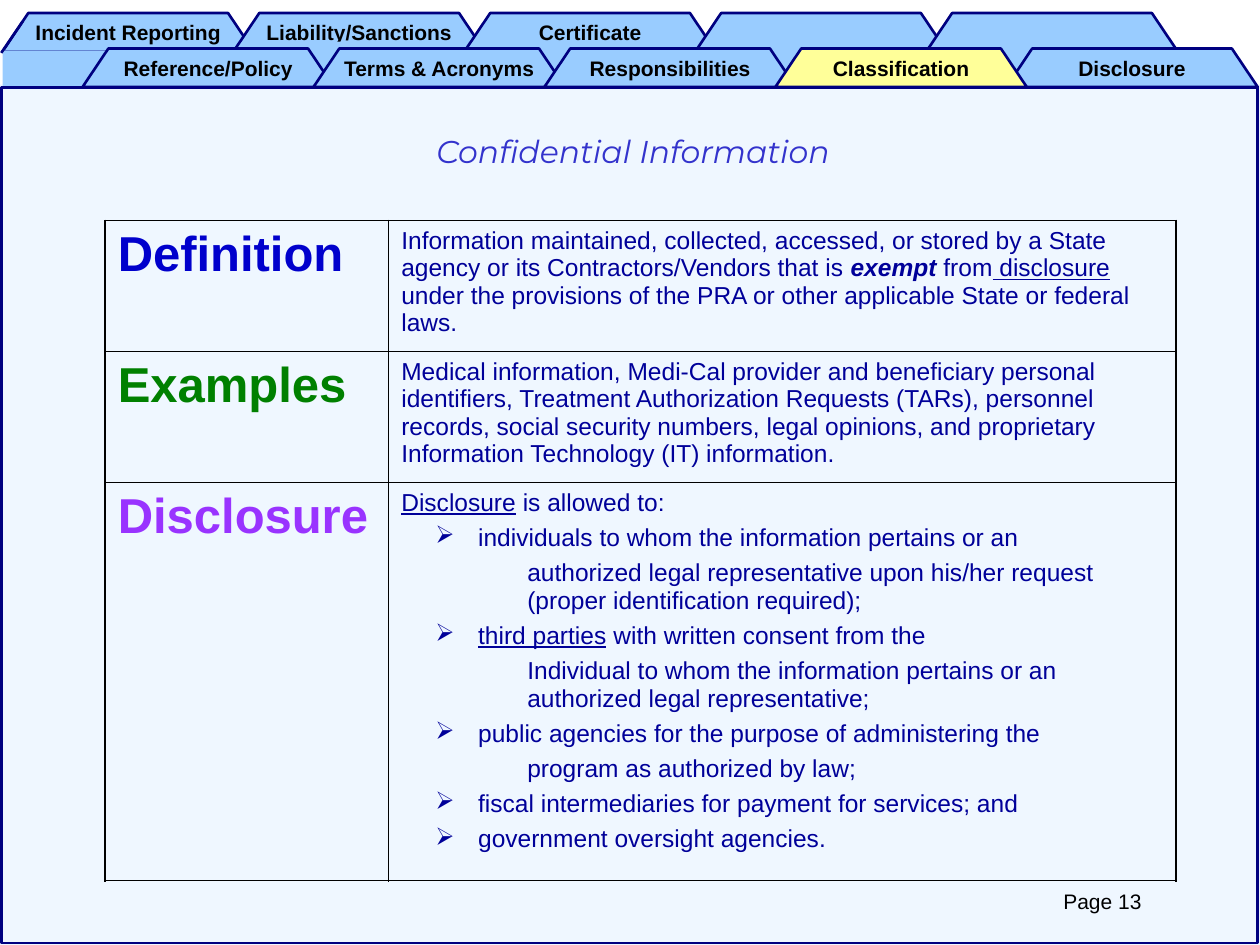
import pptx
import pptx.dml.color
import pptx.enum.shapes
import pptx.enum.text
import pptx.oxml.ns
import pptx.util
from lxml import etree

RGBColor = pptx.dml.color.RGBColor
MSO_SHAPE = pptx.enum.shapes.MSO_SHAPE
PP_ALIGN = pptx.enum.text.PP_ALIGN
MSO_ANCHOR = pptx.enum.text.MSO_ANCHOR
Pt = pptx.util.Pt
qn = pptx.oxml.ns.qn

BLACK = RGBColor(0x00, 0x00, 0x00)
NAVY = RGBColor(0x00, 0x00, 0x80)
SKY = RGBColor(0x99, 0xCC, 0xFF)
YELLOW = RGBColor(0xFF, 0xFF, 0x99)
INDIGO = RGBColor(0x33, 0x33, 0xCC)
BLUE = RGBColor(0x00, 0x00, 0xCC)
GREEN = RGBColor(0x00, 0x80, 0x00)
PURPLE = RGBColor(0x99, 0x33, 0xFF)
BODY = RGBColor(0x00, 0x00, 0x99)

# Grid of the slide: 100 columns by 75 rows, each cell a tenth of an inch.
COLUMNS, ROWS = 100, 75
TAB_PITCH = 18.33
TAB_WIDTH, TAB_HEIGHT, TAB_SLANT = 19.95, 3.05, 2.05

UPPER_TABS = ["Incident Reporting", "Liability/Sanctions", "Certificate", "", ""]
UPPER_FILLERS = [(0.2, 4, 16.5, 3), (21.7, 3.3, 8.3, 2.5), (40, 3.8, 8.3, 2.5),
                 (59, 3.6, 7.5, 2.5), (77.5, 3.8, 7.5, 2.5)]
# Lower tabs from back to front: place in the row, label, fill.
BACK_TABS = [(0, "Reference/Policy", SKY), (1, "Terms & Acronyms", SKY),
             (4, "Disclosure", SKY)]
FRONT_TABS = [(2, "Responsibilities", SKY), (3, "Classification", YELLOW)]

# A paragraph is (level, runs); a run is (text, marks), marks among b, i, u.
DEFINITION = [("plain", [
    ("Information maintained, collected, accessed, or stored by a State agency "
     "or its Contractors/Vendors that is ", ""),
    ("exempt", "bi"), (" from", ""), (" disclosure", "u"),
    (" under the provisions of the PRA or other applicable State or federal laws.", "")])]
EXAMPLES = [("plain", [
    ("Medical information, Medi-Cal provider and beneficiary personal identifiers, "
     "Treatment Authorization Requests (TARs), personnel records, social security "
     "numbers, legal opinions, and proprietary Information Technology (IT) "
     "information.", "")])]
DISCLOSURE = [
    ("plain", [("Disclosure", "u"), (" is allowed to:", "")]),
    ("bullet", [("individuals to whom the information pertains or an", "")]),
    ("detail", [("authorized legal representative upon his/her request "
                 "(proper identification required);", "")]),
    ("bullet", [("third parties", "u"), (" with written consent from the", "")]),
    ("detail", [("Individual to whom the information pertains or an authorized "
                 "legal representative;", "")]),
    ("bullet", [("public agencies for the purpose of administering the", "")]),
    ("detail", [("program as authorized by law;", "")]),
    ("bullet", [("fiscal intermediaries for payment for services; and", "")]),
    ("bullet", [("government oversight agencies.", "")]),
]
TOPICS = [("Definition", BLUE, DEFINITION, 10.4), ("Examples", GREEN, EXAMPLES, 10.4),
          ("Disclosure", PURPLE, DISCLOSURE, 31.6)]
# Left margin and first-line indent of each level, in columns.
INDENTS = {"plain": (0, 0), "bullet": (6.1, -3.4), "detail": (10, 0)}


class TabbedPage:
    font = "Arial"
    outline = Pt(1.5)
    outer_border, inner_border = Pt(1.08), Pt(0.45)

    def __init__(self, deck):
        self.cell_width = deck.slide_width / COLUMNS
        self.cell_height = deck.slide_height / ROWS
        self.slide = deck.slides.add_slide(deck.slide_layouts[5])
        self.shapes = self.slide.shapes

    def x(self, columns):
        return round(columns * self.cell_width)

    def y(self, rows):
        return round(rows * self.cell_height)

    def area(self, left, top, width, height):
        return self.x(left), self.y(top), self.x(width), self.y(height)

    def run(self, paragraph, text, size, color, marks="", font=None):
        run = paragraph.add_run()
        run.text = text
        run.font.name = font or self.font
        run.font.size = Pt(size)
        run.font.color.rgb = color
        run.font.bold = "b" in marks
        run.font.italic = "i" in marks
        run.font.underline = "u" in marks

    def paint(self, shape, fill, line):
        shape.shadow.inherit = False
        if fill is None:
            shape.fill.background()
        else:
            shape.fill.solid()
            shape.fill.fore_color.rgb = fill
        if line is None:
            shape.line.fill.background()
        else:
            shape.line.color.rgb = line
            shape.line.width = self.outline

    def rectangle(self, area, fill=None, line=None, opacity=None):
        box = self.shapes.add_shape(MSO_SHAPE.RECTANGLE, *self.area(*area))
        self.paint(box, fill, line)
        if opacity is not None:
            color = box.fill._xPr.find(qn("a:solidFill"))[0]
            etree.SubElement(color, qn("a:alpha"), val=str(opacity * 1000))

    def line(self, start, end):
        edge = self.shapes.add_connector(
            pptx.enum.shapes.MSO_CONNECTOR.STRAIGHT,
            self.x(start[0]), self.y(start[1]), self.x(end[0]), self.y(end[1]))
        edge.line.color.rgb = NAVY
        edge.line.width = self.outline
        etree.SubElement(edge.element.spPr, qn("a:effectLst"))

    def tab(self, left, top, label, fill):
        right, bottom = left + TAB_WIDTH, top + TAB_HEIGHT
        corners = [(left + TAB_SLANT, top), (right - TAB_SLANT, top), (right, bottom)]
        builder = self.shapes.build_freeform(self.x(left), self.y(bottom))
        builder.add_line_segments([(self.x(c), self.y(r)) for c, r in corners])
        tab = builder.convert_to_shape()
        self.paint(tab, fill, NAVY)
        if label:
            frame = tab.text_frame
            frame.word_wrap = False
            frame.vertical_anchor = MSO_ANCHOR.MIDDLE
            frame.paragraphs[0].alignment = PP_ALIGN.CENTER
            self.run(frame.paragraphs[0], label, 12, BLACK, "b")

    def title(self, text, area):
        title = self.shapes.title
        title.left, title.top, title.width, title.height = self.area(*area)
        title.element.getparent().append(title.element)  # in front of the panel
        frame = title.text_frame
        frame.auto_size = pptx.enum.text.MSO_AUTO_SIZE.NONE
        frame.vertical_anchor = MSO_ANCHOR.TOP
        frame.paragraphs[0].alignment = PP_ALIGN.CENTER
        self.run(frame.paragraphs[0], text, 18, INDIGO, "i", "Montserrat")

    def caption(self, text, area):
        frame = self.shapes.add_textbox(*self.area(*area)).text_frame
        frame.word_wrap = True
        frame.paragraphs[0].alignment = PP_ALIGN.CENTER
        self.run(frame.paragraphs[0], text, 12, BLACK)

    def borders(self, cell, outer_sides):
        properties = cell._tc.get_or_add_tcPr()
        for side in "LRTB":
            width = self.outer_border if side in outer_sides else self.inner_border
            border = etree.SubElement(properties, qn("a:ln" + side), w=str(width))
            fill = etree.SubElement(border, qn("a:solidFill"))
            etree.SubElement(fill, qn("a:srgbClr"), val=str(BLACK))
        cell.fill.background()

    def body(self, frame, paragraphs):
        for index, (level, runs) in enumerate(paragraphs):
            paragraph = frame.add_paragraph() if index else frame.paragraphs[0]
            margin, indent = INDENTS[level]
            properties = paragraph._p.get_or_add_pPr()
            properties.set("marL", str(self.x(margin)))
            properties.set("indent", str(self.x(indent)))
            if level == "bullet":
                etree.SubElement(properties, qn("a:buChar"), char="➢")
            if index:
                paragraph.space_before = Pt(4.4)
            for text, marks in runs:
                self.run(paragraph, text, 14, BODY, marks)

    def topic_table(self, topics, left, top, widths):
        height = sum(topic[3] for topic in topics)
        table = self.shapes.add_table(
            len(topics), 2, *self.area(left, top, sum(widths), height)).table
        table.first_row = table.horz_banding = False
        for column, width in zip(table.columns, widths):
            column.width = self.x(width)
        for index, (heading, color, paragraphs, rows) in enumerate(topics):
            table.rows[index].height = self.y(rows)
            ends = ("T" if index == 0 else "") + ("B" if index == len(topics) - 1 else "")
            name, text = table.cell(index, 0), table.cell(index, 1)
            self.borders(name, "L" + ends)
            self.borders(text, "R" + ends)
            self.run(name.text_frame.paragraphs[0], heading, 28, color, "b")
            self.body(text.text_frame, paragraphs)


def main():
    deck = pptx.Presentation()
    deck.slide_width, deck.slide_height = pptx.util.Inches(10), pptx.util.Inches(7.5)
    page = TabbedPage(deck)

    for place, (label, filler) in enumerate(zip(UPPER_TABS, UPPER_FILLERS)):
        page.tab(0.2 + place * TAB_PITCH, 1.03, label, SKY)
        page.rectangle(filler, SKY)
        if place == 0:
            page.line((0.1, 4.2), (1.8, 1.7))
    page.rectangle((0, 6.7, 100, 68.3), SKY, opacity=15)
    for place, label, fill in BACK_TABS:
        page.tab(6.55 + place * TAB_PITCH, 3.85, label, fill)
    page.rectangle((0.1, 6.95, 99.7, 67.9), line=NAVY)
    for place, label, fill in FRONT_TABS:
        page.tab(6.55 + place * TAB_PITCH, 3.85, label, fill)

    page.title("Confidential Information", (15.8, 10, 68.9, 5))
    page.topic_table(TOPICS, 8.35, 17.5, (22.5, 62.5))
    page.caption("Page 13", (77.5, 70, 20, 3))
    deck.save("out.pptx")


if __name__ == "__main__":
    main()
